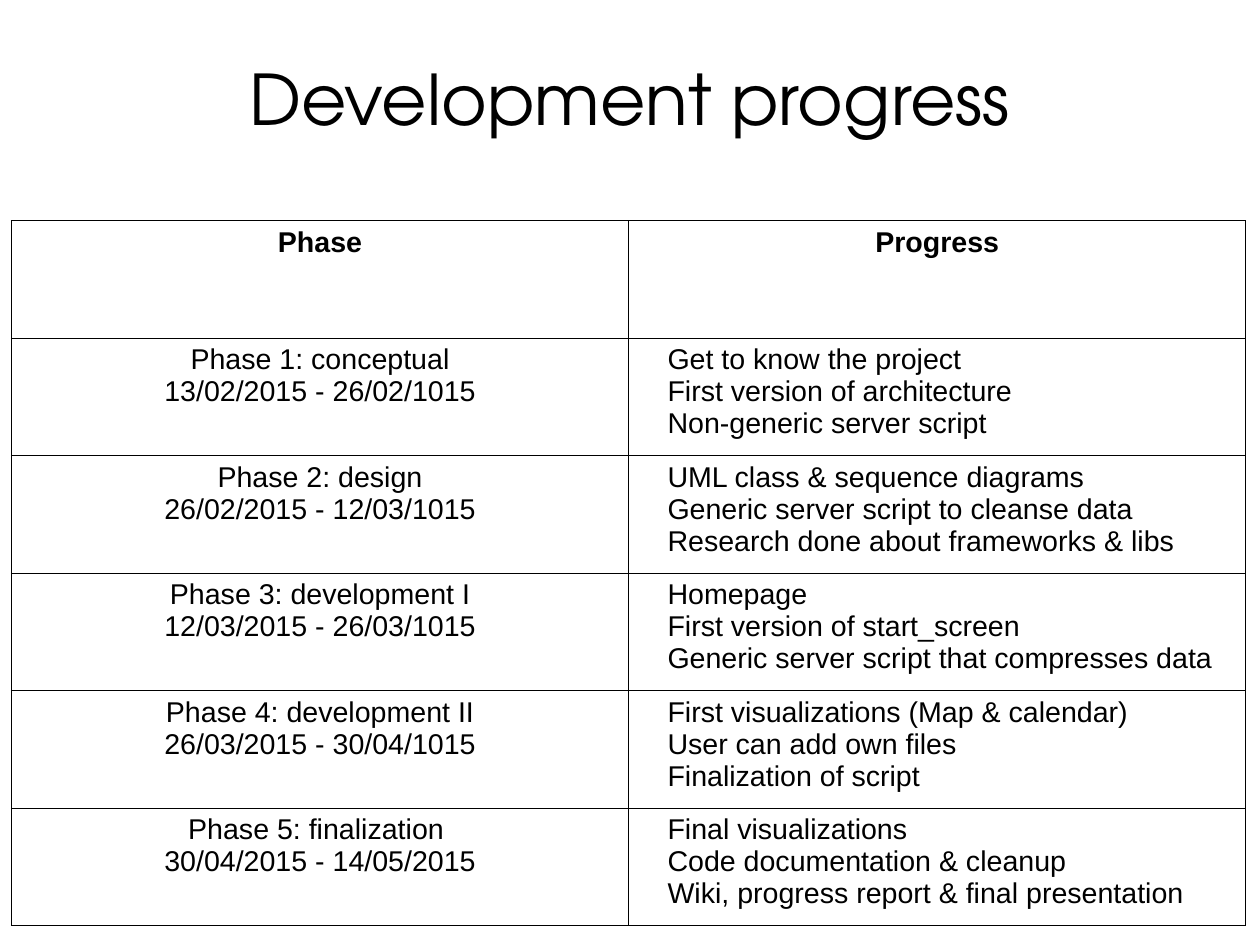
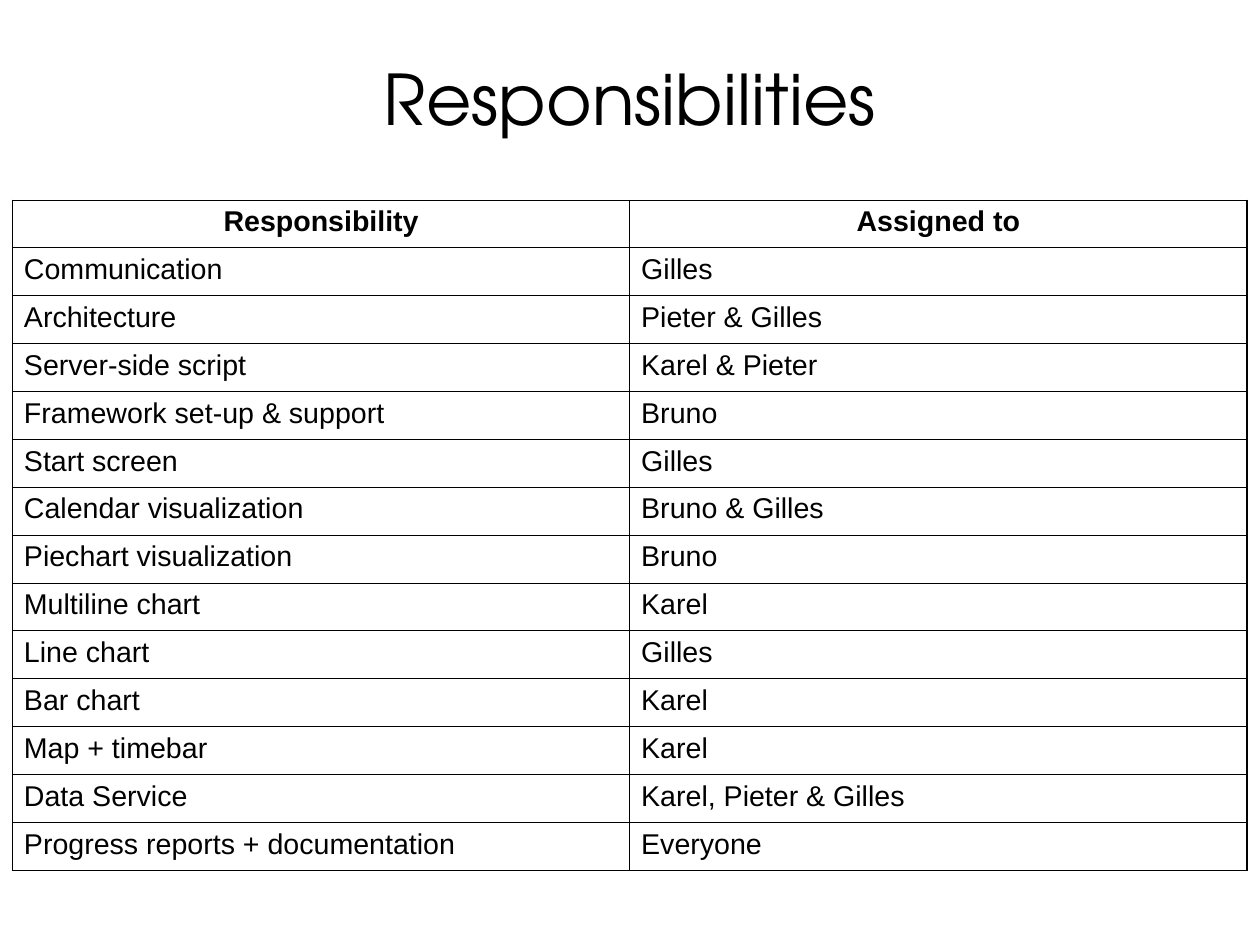
from lxml.etree import SubElement
from pptx import Presentation
from pptx.dml.color import RGBColor
from pptx.enum.text import MSO_ANCHOR as Anchor, MSO_AUTO_SIZE as AutoSize, PP_ALIGN as Align
from pptx.oxml.ns import qn
from pptx.util import Cm, Inches, Pt

# Shared page grid and style
SLIDE_W, SLIDE_H = Cm(28), Cm(21)
TITLE_H = Inches(1.71)
COLUMN_W = Inches(5.4)
BULLET_INDENT = Inches(0.24)
BORDER_W = Pt(0.75)
TITLE_ONLY = 5

BLACK = RGBColor(0, 0, 0)
TITLE_FONT = {"name": "TeX Gyre Adventor", "size": Pt(44), "bold": False}
BODY_FONT = {"name": "Arial", "size": Pt(18), "bold": False}
HEADER_FONT = {**BODY_FONT, "bold": True}
TITLE_FRAME = {
    "margin_left": 0, "margin_right": 0, "margin_top": 0, "margin_bottom": 0,
    "vertical_anchor": Anchor.MIDDLE, "auto_size": AutoSize.NONE, "word_wrap": True,
}

# Content: a cell is a list of lines
PHASES = [
    (["Phase 1: conceptual", "13/02/2015 - 26/02/1015"],
     ["Get to know the project", "First version of architecture",
      "Non-generic server script"]),
    (["Phase 2: design", "26/02/2015 - 12/03/1015"],
     ["UML class & sequence diagrams", "Generic server script to cleanse data",
      "Research done about frameworks & libs"]),
    (["Phase 3: development I", "12/03/2015 - 26/03/1015"],
     ["Homepage", "First version of start_screen",
      "Generic server script that compresses data"]),
    (["Phase 4: development II", "26/03/2015 - 30/04/1015"],
     ["First visualizations (Map & calendar)", "User can add own files",
      "Finalization of script"]),
    (["Phase 5: finalization ", "30/04/2015 - 14/05/2015"],
     ["Final visualizations", "Code documentation & cleanup",
      "Wiki, progress report & final presentation"]),
]
DUTIES = [
    (["Communication"], ["Gilles"]),
    (["Architecture"], ["Pieter & Gilles"]),
    (["Server-side script"], ["Karel & Pieter"]),
    (["Framework set-up & support"], ["Bruno"]),
    (["Start screen"], ["Gilles"]),
    (["Calendar visualization"], ["Bruno & Gilles"]),
    (["Piechart visualization"], ["Bruno"]),
    (["Multiline chart"], ["Karel"]),
    (["Line chart"], ["Gilles"]),
    (["Bar chart"], ["Karel"]),
    (["Map + timebar"], ["Karel"]),
    (["Data Service"], ["Karel, Pieter & Gilles"]),
    (["Progress reports + documentation"], ["Everyone"]),
]


def set_all(target, values):
    for key, value in values.items():
        setattr(target, key, value)


def add_bullet(paragraph):
    props = paragraph._p.get_or_add_pPr()
    props.set("marL", str(BULLET_INDENT))
    props.set("indent", str(-BULLET_INDENT))
    SubElement(props, qn("a:buSzPct"), val="45000")
    # The clock sign of the symbol font
    SubElement(props, qn("a:buFont"), typeface="Wingdings", charset="2")
    SubElement(props, qn("a:buChar"), char="·")


def write_line(paragraph, text, style, align, bulleted=False):
    paragraph.alignment = align
    if bulleted:
        add_bullet(paragraph)
    run = paragraph.add_run()
    run.text = text
    set_all(run.font, style)
    run.font.color.rgb = BLACK


def add_borders(cell):
    props = cell._tc.get_or_add_tcPr()
    for side in ("lnL", "lnR", "lnT", "lnB"):
        border = SubElement(props, qn(f"a:{side}"), w=str(BORDER_W))
        fill = SubElement(border, qn("a:solidFill"))
        SubElement(fill, qn("a:srgbClr"), val=str(BLACK))


def fill_cell(cell, lines, style, align, bulleted=False):
    add_borders(cell)
    cell.fill.background()
    frame = cell.text_frame
    for index, text in enumerate(lines):
        paragraph = frame.add_paragraph() if index else frame.paragraphs[0]
        write_line(paragraph, text, style, align, bulleted)


def add_titled_slide(deck, text):
    slide = deck.slides.add_slide(deck.slide_layouts[TITLE_ONLY])
    title = slide.shapes.title
    set_all(title, {"left": 0, "top": 0, "width": SLIDE_W, "height": TITLE_H})
    set_all(title.text_frame, TITLE_FRAME)
    write_line(title.text_frame.paragraphs[0], text, TITLE_FONT, Align.CENTER)
    return slide


def add_grid(slide, left, top, height, headings, rows, aligns, bulleted_column=None):
    count = len(rows) + 1
    grid = slide.shapes.add_table(count, len(headings), left, top,
                                  COLUMN_W * len(headings), height).table
    set_all(grid, {"first_row": False, "horz_banding": False})
    for column, heading in enumerate(headings):
        fill_cell(grid.cell(0, column), [heading], HEADER_FONT, Align.CENTER)
        for index, row in enumerate(rows, 1):
            fill_cell(grid.cell(index, column), row[column], BODY_FONT,
                      aligns[column], column == bulleted_column)


def main():
    deck = Presentation()
    set_all(deck, {"slide_width": SLIDE_W, "slide_height": SLIDE_H})

    # Phases with their progress
    progress = add_titled_slide(deck, "Development progress")
    add_grid(progress, Inches(0.1), Inches(1.93), Inches(6.17),
             ("Phase", "Progress"), PHASES, (Align.CENTER, Align.LEFT),
             bulleted_column=1)

    # Duties with the people in charge
    responsibilities = add_titled_slide(deck, "Responsibilities")
    add_grid(responsibilities, Inches(0.11), Inches(1.75), Inches(5.87),
             ("Responsibility", "Assigned to"), DUTIES, (Align.LEFT, Align.LEFT))

    deck.save("out.pptx")


if __name__ == "__main__":
    main()
